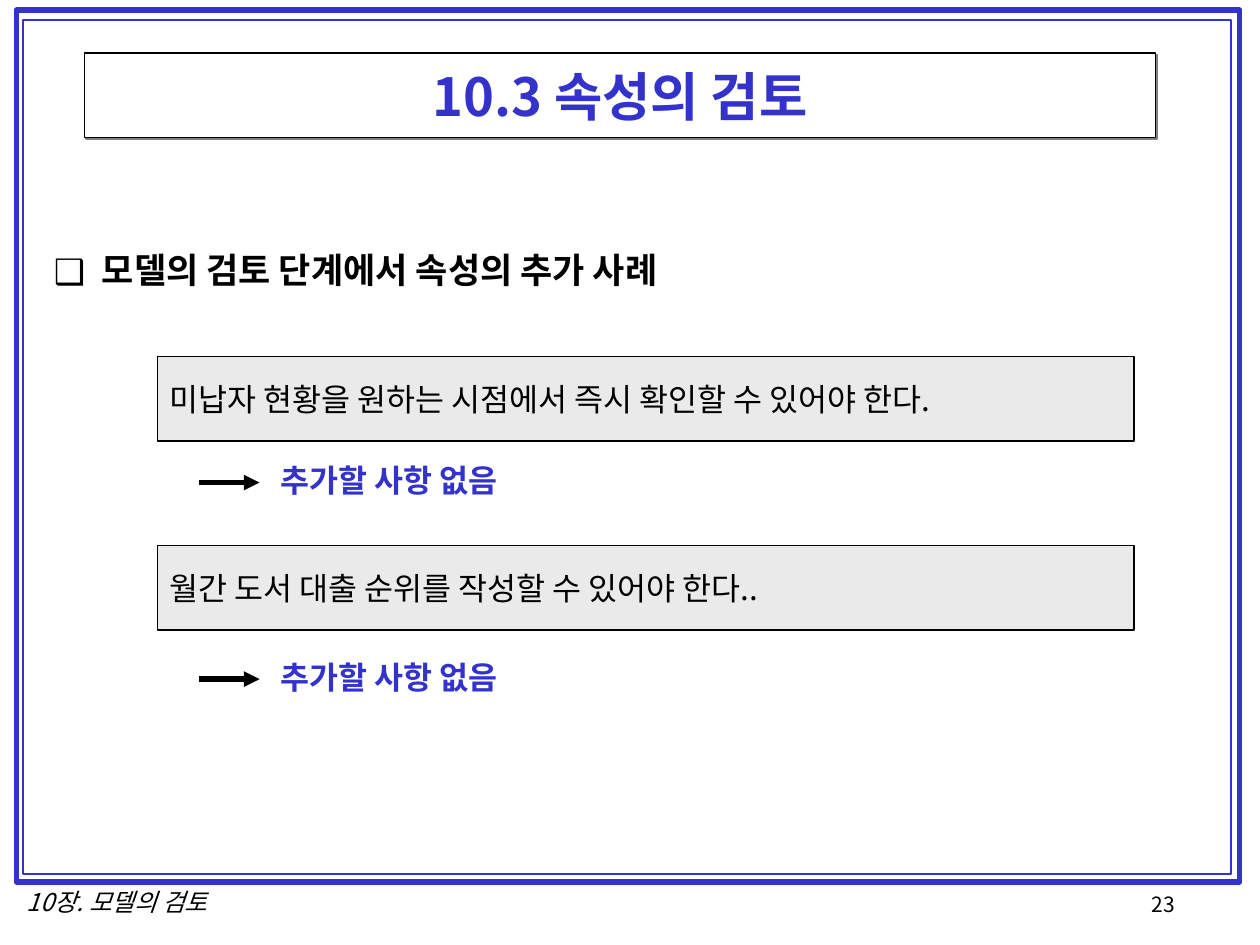
from lxml.etree import SubElement
from pptx import Presentation
from pptx.dml.color import RGBColor
from pptx.enum.shapes import MSO_CONNECTOR, MSO_SHAPE
from pptx.enum.text import MSO_ANCHOR, MSO_AUTO_SIZE, PP_ALIGN
from pptx.oxml.ns import qn
from pptx.util import Inches, Pt

FONT = "Noto Sans CJK KR"
HUES = {"blue": "3333CC", "ink": "000000", "paper": "FFFFFF",
        "pale": "EAEAEA", "shade": "808080"}


def hue(name):
    return RGBColor.from_string(HUES[name])


def write(shape, text, size=18, color="ink", bold=False, slant=False,
          align=PP_ALIGN.LEFT, anchor=MSO_ANCHOR.TOP, wrap=True):
    frame = shape.text_frame
    frame.word_wrap = wrap
    frame.auto_size = MSO_AUTO_SIZE.NONE if wrap else MSO_AUTO_SIZE.SHAPE_TO_FIT_TEXT
    frame.vertical_anchor = anchor
    para = frame.paragraphs[0]
    para.alignment = align
    run = para.add_run()
    run.text = text
    font = run.font
    font.name, font.size, font.bold, font.italic = FONT, Pt(size), bold, slant
    font.color.rgb = hue(color)
    SubElement(font._element, qn("a:ea"), typeface=FONT)
    return para


def label(slide, box, text, **style):
    return write(slide.shapes.add_textbox(*map(Inches, box)), text, **style)


def panel(slide, box, fill=None, line="ink", width=0.75):
    shape = slide.shapes.add_shape(MSO_SHAPE.RECTANGLE, *map(Inches, box))
    shape.shadow.inherit = False
    if fill:
        shape.fill.solid()
        shape.fill.fore_color.rgb = hue(fill)
    else:
        shape.fill.background()
    shape.line.color.rgb = hue(line)
    shape.line.width = Pt(width)
    return shape


def border(slide, box):
    left, top, width, height = box
    panel(slide, box, line="blue", width=3)
    panel(slide, (left + 0.05, top + 0.08, width - 0.12, height - 0.14),
          line="blue", width=1)


def footer(slide, box):
    left, top, width, height = box
    label(slide, (left + width - 1.02, top + 0.04, 1.02, 0.33), "23",
          size=12, wrap=False)
    label(slide, (left, top, 1.78, height), "10장. 모델의 검토", size=14,
          slant=True, align=PP_ALIGN.CENTER, wrap=False)


def title(slide, box, text):
    shape = panel(slide, box, fill="paper")
    glow = shape._element.spPr.find(qn("a:effectLst"))
    cast = SubElement(glow, qn("a:outerShdw"), dist=str(Pt(1.4)),
                      dir="2700000", algn="ctr", rotWithShape="0")
    SubElement(cast, qn("a:srgbClr"), val=HUES["shade"])
    write(shape, text, size=30, color="blue", bold=True,
          align=PP_ALIGN.CENTER, anchor=MSO_ANCHOR.MIDDLE)


def topic(slide, box, text):
    para = label(slide, box, text, size=20, bold=True)
    para.space_before = Pt(5)
    props = para._p.get_or_add_pPr()
    props.set("marL", str(Inches(0.38)))
    props.set("indent", str(Inches(-0.38)))
    tint = SubElement(props, qn("a:buClr"))
    SubElement(tint, qn("a:srgbClr"), val=HUES["ink"])
    SubElement(props, qn("a:buFont"), typeface=FONT)
    SubElement(props, qn("a:buChar"), char="❑")


def arrow(slide, left, top, width):
    line = slide.shapes.add_connector(
        MSO_CONNECTOR.STRAIGHT, Inches(left), Inches(top),
        Inches(left + width), Inches(top))
    line.line.color.rgb = hue("ink")
    line.line.width = Pt(3)
    SubElement(line.line._get_or_add_ln(), qn("a:tailEnd"), type="triangle")
    SubElement(line._element.spPr, qn("a:effectLst"))


def review(slide, box, need, reply, gap):
    left, top, width, height = box
    write(panel(slide, box, fill="pale"), need, anchor=MSO_ANCHOR.MIDDLE)
    base = top + height + gap
    arrow(slide, left + 0.33, base + 0.22, 0.48)
    label(slide, (left + 0.88, base, 1.95, 0.4), reply,
          color="blue", bold=True, wrap=False)


def main():
    deck = Presentation()
    deck.slide_width, deck.slide_height = Inches(10), Inches(7.5)
    slide = deck.slides.add_slide(deck.slide_layouts[6])
    border(slide, (0.13, 0.08, 9.71, 6.92))
    footer(slide, (0.04, 6.99, 10.02, 0.34))
    title(slide, (0.67, 0.42, 8.5, 0.67), "10.3 속성의 검토")
    topic(slide, (0.33, 1.92, 9.27, 4.87), "모델의 검토 단계에서 속성의 추가 사례")
    needs = [("미납자 현황을 원하는 시점에서 즉시 확인할 수 있어야 한다.", 0.11),
             ("월간 도서 대출 순위를 작성할 수 있어야 한다..", 0.17)]
    for row, (need, gap) in enumerate(needs):
        review(slide, (1.25, 2.83 + 1.5 * row, 7.75, 0.67),
               need, "추가할 사항 없음", gap)
    deck.save("out.pptx")


if __name__ == "__main__":
    main()
